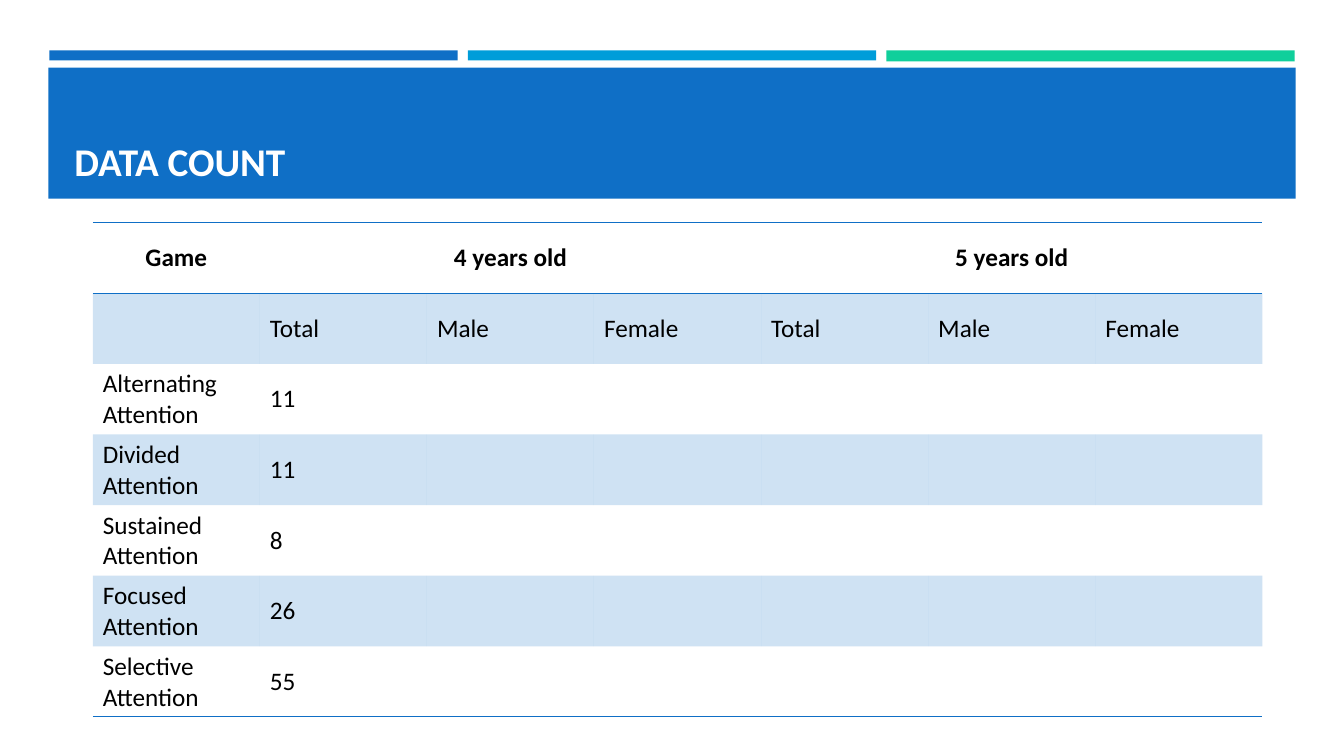
"""Build the data count slide with its attention game table."""
from dataclasses import dataclass

from lxml import etree
from pptx import Presentation
from pptx import util as u
from pptx.dml.color import RGBColor
from pptx.enum import shapes, text
from pptx.oxml.ns import qn

PX = 9144


@dataclass(frozen=True)
class Theme:
    blue: str = "0F6FC6"
    sky: str = "009DD9"
    green: str = "10CF9B"
    white: str = "FFFFFF"
    black: str = "000000"
    font: str = "Calibri"
    title_size: int = 28
    table_size: int = 18
    band_alpha: int = 20000
    rule_width: int = 12700
    plain_table: str = "{2D5ABB26-0587-4C30-8999-92F81FD0307C}"


@dataclass(frozen=True)
class Box:
    left: int
    top: int
    width: int
    height: int

    def emu(self) -> tuple[int, ...]:
        return tuple(side * PX for side in (self.left, self.top, self.width, self.height))


@dataclass(frozen=True)
class Bar:
    box: Box
    colour: str


THEME = Theme()
BARS = (
    Bar(Box(49, 50, 405, 10), THEME.blue),
    Bar(Box(879, 50, 405, 11), THEME.green),
    Bar(Box(464, 50, 405, 10), THEME.sky),
    Bar(Box(48, 67, 1237, 130), THEME.blue),
)
TITLE_BOX = Box(64, 77, 1206, 111)
TABLE_BOX = Box(92, 221, 1160, 490)
GROUPS = ("4 years old", "5 years old")
MEASURES = ("Total", "Male", "Female")
COUNTS = {"Alternating": 11, "Divided": 11, "Sustained": 8, "Focused": 26, "Selective": 55}


def write(paragraph, words: str, size: int, colour: str, bold: bool) -> None:
    run = paragraph.add_run()
    run.text = words
    for name, value in {"name": THEME.font, "size": u.Pt(size), "bold": bold}.items():
        setattr(run.font, name, value)
    run.font.color.rgb = RGBColor.from_string(colour)


def draw_bar(slide, bar: Bar) -> None:
    shape = slide.shapes.add_shape(shapes.MSO_SHAPE.RECTANGLE, *bar.box.emu())
    shape.shadow.inherit = False
    shape.fill.solid()
    shape.fill.fore_color.rgb = RGBColor.from_string(bar.colour)
    shape.line.fill.background()


def draw_title(slide, words: str) -> None:
    frame = slide.shapes.add_textbox(*TITLE_BOX.emu()).text_frame
    for name, value in {"word_wrap": True, "vertical_anchor": text.MSO_ANCHOR.BOTTOM}.items():
        setattr(frame, name, value)
    write(frame.paragraphs[0], words, THEME.title_size, THEME.white, True)


def add_colour(parent):
    fill = etree.SubElement(parent, qn("a:solidFill"))
    return etree.SubElement(fill, qn("a:srgbClr"), val=THEME.blue)


def style_cell(cell, edges: tuple[str, ...], banded: bool) -> None:
    cell.vertical_anchor = text.MSO_ANCHOR.MIDDLE
    properties = cell._tc.get_or_add_tcPr()
    for edge in edges:
        add_colour(etree.SubElement(properties, qn(f"a:{edge}"), w=str(THEME.rule_width)))
    if banded:
        etree.SubElement(add_colour(properties), qn("a:alpha"), val=str(THEME.band_alpha))
    else:
        cell.fill.background()


def table_rows() -> list[list[str]]:
    gap = [""] * (len(MEASURES) - 1)
    header = ["Game"] + [words for group in GROUPS for words in (group, *gap)]
    measures = ["", *MEASURES * len(GROUPS)]
    blanks = [""] * (len(measures) - 2)
    counts = [[f"{game} Attention", str(count), *blanks] for game, count in COUNTS.items()]
    return [header, measures, *counts]


def draw_table(slide) -> None:
    rows = table_rows()
    last = len(rows) - 1
    table = slide.shapes.add_table(len(rows), len(rows[0]), *TABLE_BOX.emu()).table
    table.horz_banding = False
    table._tbl.tblPr.find(qn("a:tableStyleId")).text = THEME.plain_table
    edges = {0: ("lnT", "lnB"), last: ("lnB",)}
    for row_index, row in enumerate(rows):
        is_header = row_index == 0
        for column_index, words in enumerate(row):
            cell = table.cell(row_index, column_index)
            style_cell(cell, edges.get(row_index, ()), row_index % 2 == 1)
            if words:
                paragraph = cell.text_frame.paragraphs[0]
                if is_header:
                    paragraph.alignment = text.PP_ALIGN.CENTER
                write(paragraph, words, THEME.table_size, THEME.black, is_header)
    span = len(MEASURES)
    for group_index in range(len(GROUPS)):
        first = 1 + group_index * span
        table.cell(0, first).merge(table.cell(0, first + span - 1))


def main() -> None:
    presentation = Presentation()
    for name, value in {"slide_width": 1333, "slide_height": 750}.items():
        setattr(presentation, name, value * PX)
    slide = presentation.slides.add_slide(presentation.slide_layouts[6])
    for bar in BARS:
        draw_bar(slide, bar)
    draw_title(slide, "DATA COUNT")
    draw_table(slide)
    presentation.save("out.pptx")


if __name__ == "__main__":
    main()
